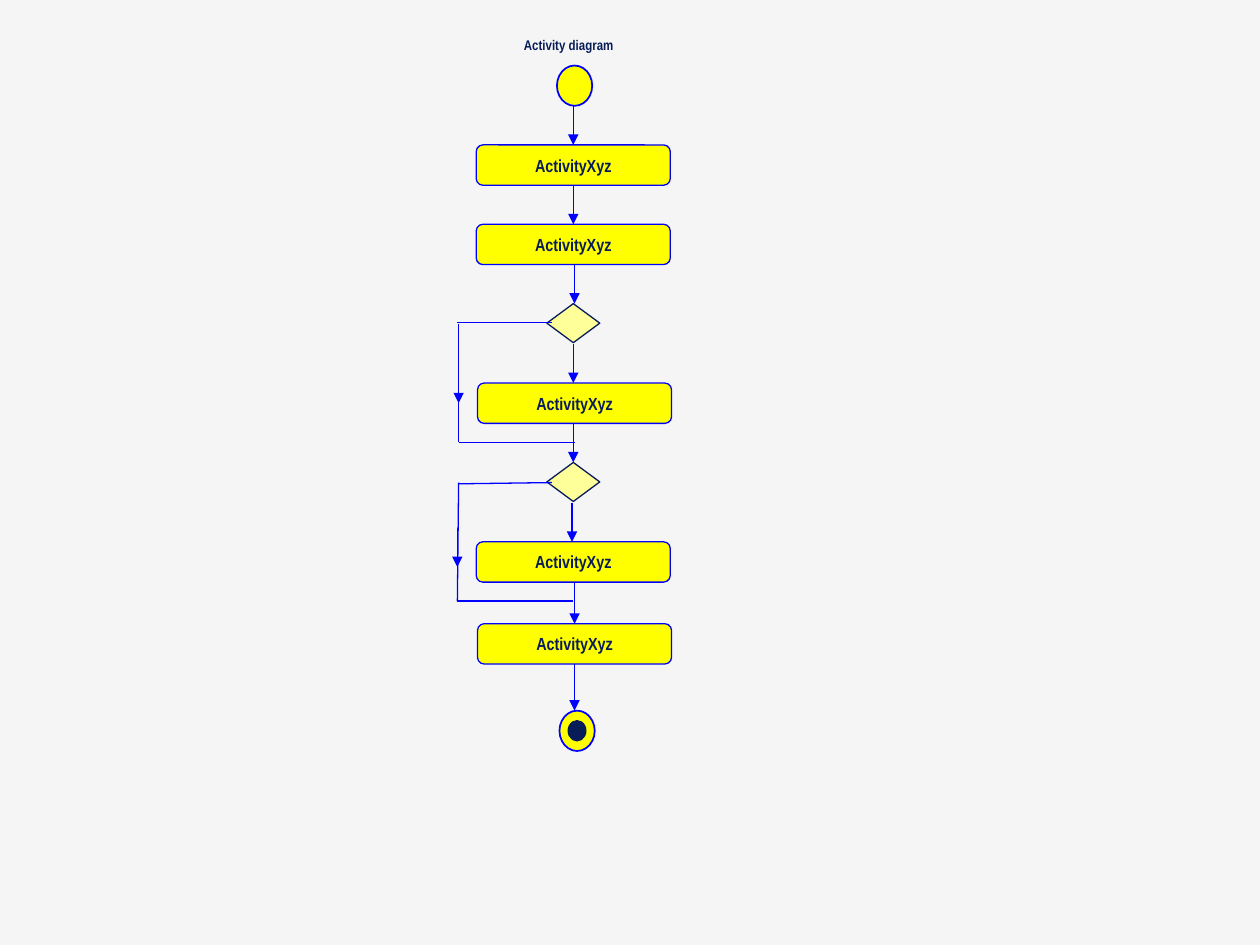
from pptx import Presentation
from pptx.dml.color import RGBColor
from pptx.enum.shapes import MSO_CONNECTOR, MSO_SHAPE
from pptx.enum.text import MSO_ANCHOR, MSO_AUTO_SIZE, PP_ALIGN
from pptx.oxml.ns import qn
from pptx.util import Inches, Pt
from lxml import etree

OVAL, DIAMOND = MSO_SHAPE.OVAL, MSO_SHAPE.FLOWCHART_DECISION
ROUNDED = MSO_SHAPE.ROUNDED_RECTANGLE
STRAIGHT = MSO_CONNECTOR.STRAIGHT
MIDDLE, CENTER = MSO_ANCHOR.MIDDLE, PP_ALIGN.CENTER
FIT_SHAPE = MSO_AUTO_SIZE.SHAPE_TO_FIT_TEXT
YELLOW, PALE, BLUE, NAVY = "FFFF00", "FFFF99", "0000FF", "081D58"
color = RGBColor.from_string

deck = Presentation()
deck.slide_width, deck.slide_height = Inches(10), Inches(7.5)
page = deck.slides.add_slide(deck.slide_layouts[6])
page.background.fill.solid()
page.background.fill.fore_color.rgb = color("F5F5F5")


def add_node(kind, left, top, width, height, fill, line, weight=0.75):
    node = page.shapes.add_shape(kind, Inches(left), Inches(top), Inches(width), Inches(height))
    node.shadow.inherit = False
    node.fill.solid()
    node.fill.fore_color.rgb = color(fill)
    node.line.color.rgb = color(line)
    node.line.width = Pt(weight)
    return node


def write(box, text, size):
    frame = box.text_frame
    frame.word_wrap = False
    paragraph = frame.paragraphs[0]
    paragraph.text = text
    font = paragraph.font
    font.name, font.size, font.bold = "Arial Narrow", Pt(size), True
    font.color.rgb = color(NAVY)
    return frame


# Title
title = page.shapes.add_textbox(Inches(4.06), Inches(0.24), Inches(0.92), Inches(0.24))
write(title, "Activity diagram", 8).auto_size = FIT_SHAPE

# Start and end markers
add_node(OVAL, 4.42, 0.52, 0.28, 0.32, YELLOW, BLUE, 1)
add_node(OVAL, 4.44, 5.64, 0.28, 0.32, YELLOW, BLUE, 1)
add_node(OVAL, 4.51, 5.72, 0.14, 0.16, NAVY, NAVY)

# Activities
for left, top in [(3.78, 1.15), (3.78, 1.78), (3.79, 3.04), (3.78, 4.3), (3.79, 4.95)]:
    activity = add_node(ROUNDED, left, top, 1.54, 0.32, YELLOW, BLUE)
    frame = write(activity, "ActivityXyz", 10)
    frame.vertical_anchor = MIDDLE
    frame.paragraphs[0].alignment = CENTER

# Decisions
for top in (2.41, 3.67):
    add_node(DIAMOND, 4.34, top, 0.42, 0.31, PALE, NAVY)

# Main flow and bypass arrows: x, start y, end y
arrows = [
    (4.55, 0.84, 1.15), (4.55, 1.47, 1.78), (4.56, 2.1, 2.41), (4.55, 2.73, 3.04),
    (4.55, 3.36, 3.67), (4.54, 3.99, 4.3), (4.56, 4.62, 4.95), (4.56, 5.27, 5.64),
    (3.64, 2.88, 3.2), (3.63, 4.19, 4.5),
]
# Bypass lines: start x, start y, end x, end y
bypasses = [
    (3.63, 2.56, 4.38, 2.56), (3.64, 3.51, 3.64, 2.57), (3.64, 3.51, 4.56, 3.51),
    (3.64, 3.84, 4.38, 3.83), (3.63, 4.77, 3.64, 3.83), (3.63, 4.77, 4.55, 4.77),
]
links = [((x, start, x, end), True) for x, start, end in arrows]
links += [(points, False) for points in bypasses]
for points, has_head in links:
    link = page.shapes.add_connector(STRAIGHT, *[Inches(value) for value in points])
    link.line.color.rgb = color(BLUE)
    link.line.width = Pt(0.75)
    properties = link.element.spPr
    if has_head:
        etree.SubElement(properties.find(qn("a:ln")), qn("a:tailEnd"), type="triangle")
    etree.SubElement(properties, qn("a:effectLst"))

deck.save("out.pptx")
